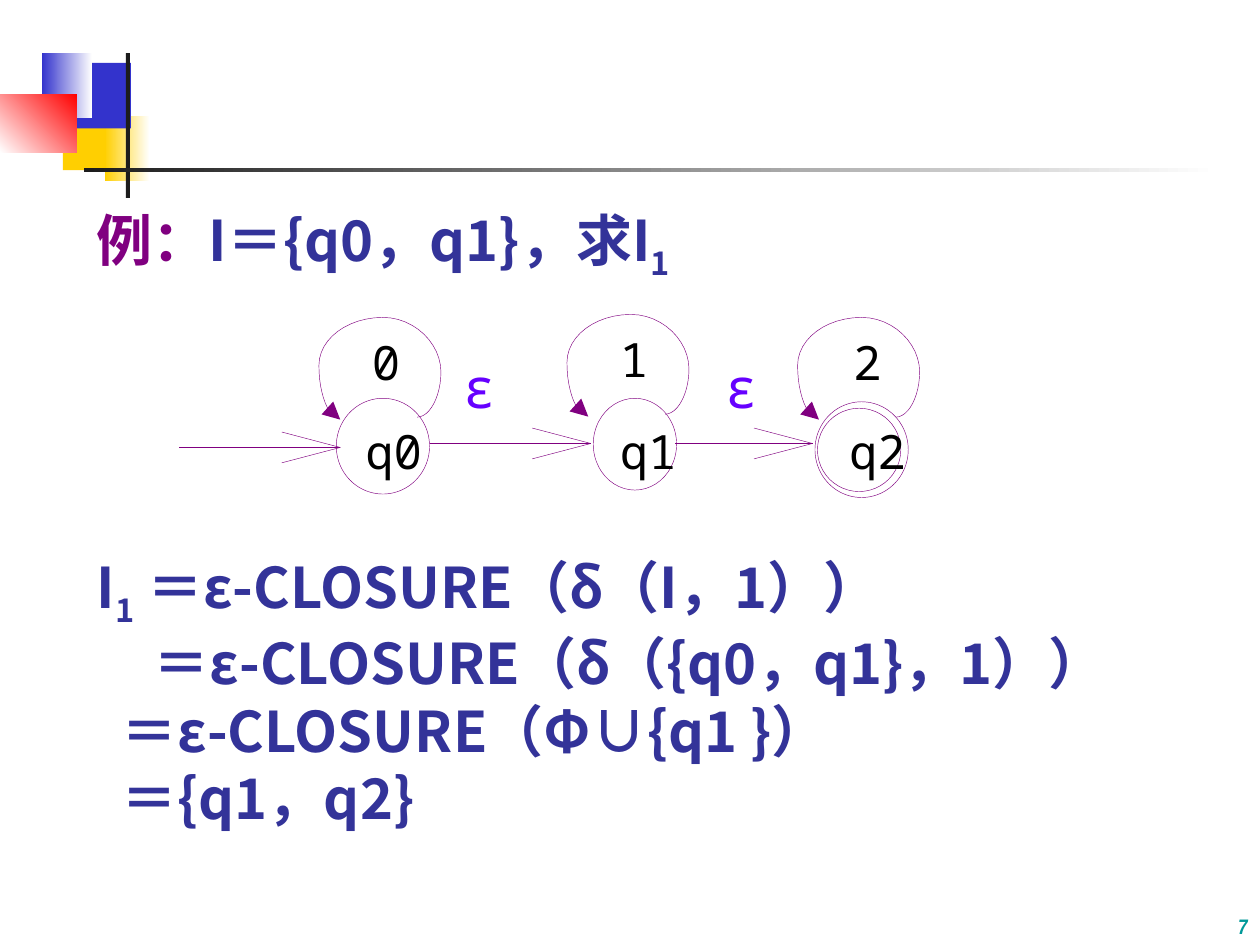
from dataclasses import dataclass
from typing import NamedTuple

from lxml.etree import SubElement
from pptx import Presentation
from pptx.dml.color import RGBColor
from pptx.enum.shapes import MSO_CONNECTOR, MSO_SHAPE
from pptx.enum.text import MSO_ANCHOR, MSO_AUTO_SIZE, PP_ALIGN
from pptx.oxml.ns import qn
from pptx.util import Cm, Pt

WHITE = RGBColor(0xFF, 0xFF, 0xFF)
BLACK = RGBColor(0x00, 0x00, 0x00)
YELLOW = RGBColor(0xFF, 0xCF, 0x01)
BLUE = RGBColor(0x33, 0x33, 0xCC)
RED = RGBColor(0xFF, 0x00, 0x00)
CHARCOAL = RGBColor(0x1C, 0x1C, 0x1C)
PURPLE = RGBColor(0x80, 0x00, 0x80)
INDIGO = RGBColor(0x33, 0x33, 0x99)
VIOLET = RGBColor(0x66, 0x00, 0xFF)
TEAL = RGBColor(0x00, 0x99, 0x99)
BODY_FONT = "Noto Sans CJK SC"
LABEL_FONT = "Noto Sans Mono"


class Area(NamedTuple):
    """Left, top, width and height in centimetres."""
    left: float
    top: float
    width: float
    height: float

    def lengths(self) -> list[Cm]:
        return [Cm(value) for value in self]


@dataclass
class Block:
    area: Area
    colors: tuple[RGBColor, ...]
    angle: int = 180


@dataclass
class Label:
    text: str
    area: Area
    size: int = 27
    color: RGBColor = BLACK


@dataclass
class Arrow:
    start: float
    tip: float
    height: float


@dataclass
class Line:
    spans: list[tuple[str, bool]]  # text, subscript
    indent: float = 0
    before: float = 0


BLOCKS = [
    Block(Area(1.27, 2.11, 1.22, 1.32), (YELLOW,)),
    Block(Area(2.11, 2.34, 0.91, 1.32), (WHITE, YELLOW)),
    Block(Area(1.47, 1.27, 1.17, 1.32), (BLUE,)),
    Block(Area(0.84, 1.07, 1.02, 1.32), (WHITE, BLUE)),
    Block(Area(0, 1.9, 1.55, 1.17), (RED, WHITE), 225),
    Block(Area(2.54, 1.07, 0.08, 2.92), (CHARCOAL,)),
    Block(Area(1.7, 3.38, 22.86, 0.08), (WHITE, CHARCOAL)),
]
LINES = [
    Line([("例：", False), ("I＝{q0，q1}，求I", False), ("1", True)]),
    Line([("I", False), ("1", True), (" ＝ε-CLOSURE（δ（I，1））", False)], before=160),
    Line([("＝ε-CLOSURE（δ（{q0，q1}，1））", False)], indent=1.15),
    Line([("＝ε-CLOSURE（Φ∪{q1 }）", False)], indent=0.5),
    Line([("＝{q1，q2}", False)], indent=0.5),
]
CIRCLES = [
    Area(6.78, 8.03, 1.88, 1.93),
    Area(11.96, 8.03, 1.68, 1.85),
    Area(16.43, 8.1, 1.88, 1.93),
    Area(16.48, 8.23, 1.68, 1.68),  # inner ring of the accepting state
]
ARROWS = [Arrow(3.61, 6.86, 9.02), Arrow(8.66, 11.91, 8.94), Arrow(13.61, 16.38, 8.94)]
LABELS = [
    *(Label(f"q{i}", Area(left, 8.51, 1.24, 1.14))
      for i, left in enumerate((7.27, 12.4, 17.02))),
    *(Label(str(i), Area(left, top, 0.6, 1.14))
      for i, (left, top) in enumerate(((7.47, 6.71), (12.47, 6.65), (17.17, 6.71)))),
    *(Label("ε", Area(left, 7.11, 0.69, 1.35), 32, VIOLET) for left in (9.32, 14.6)),
]
# Self-loop: start point, then two control points and an end point per curve
LOOP_START = (6.86, 8.46)
LOOP_CURVES = [
    ((6.63, 8.44), (6.43, 7.95), (6.43, 7.37)),
    ((6.43, 6.83), (7.01, 6.4), (7.72, 6.4)),
    ((8.36, 6.4), (8.89, 6.93), (8.89, 7.5)),
    ((8.89, 7.98), (8.67, 8.41), (8.41, 8.41)),
]
LOOP_OFFSETS = [(0, 0), (5, -0.06), (9.65, 0)]
CURVE_STEPS = 12


def outline(shape) -> None:
    shape.line.color.rgb = PURPLE
    shape.line.width = Pt(0.25)


def draw_block(page, block: Block) -> None:
    shape = page.shapes.add_shape(MSO_SHAPE.RECTANGLE, *block.area.lengths())
    shape.shadow.inherit = False
    shape.line.fill.background()
    if len(block.colors) == 1:
        shape.fill.solid()
        shape.fill.fore_color.rgb = block.colors[0]
        return
    shape.fill.gradient()
    shape.fill.gradient_angle = block.angle
    for stop, color in zip(shape.fill.gradient_stops, block.colors):
        stop.color.rgb = color


def draw_circle(page, area: Area) -> None:
    shape = page.shapes.add_shape(MSO_SHAPE.OVAL, *area.lengths())
    shape.shadow.inherit = False
    shape.fill.background()
    outline(shape)


def draw_arrow(page, arrow: Arrow) -> None:
    barb = arrow.tip - 1.18
    for left, rise in ((arrow.start, 0), (barb, -0.31), (barb, 0.31)):
        line = page.shapes.add_connector(
            MSO_CONNECTOR.STRAIGHT, Cm(left), Cm(arrow.height + rise),
            Cm(arrow.tip), Cm(arrow.height))
        outline(line)
        SubElement(line._element.spPr, qn("a:effectLst"))


def draw_loop(page, shift_x: float, shift_y: float) -> None:
    points = [LOOP_START]
    for curve in LOOP_CURVES:
        corners = (points[-1], *curve)
        for step in range(1, CURVE_STEPS + 1):
            t = step / CURVE_STEPS
            weights = ((1 - t) ** 3, 3 * t * (1 - t) ** 2, 3 * t * t * (1 - t), t ** 3)
            points.append(tuple(sum(w * corner[axis] for w, corner in zip(weights, corners))
                                for axis in (0, 1)))
    places = [(Cm(x + shift_x), Cm(y + shift_y)) for x, y in points]
    builder = page.shapes.build_freeform(*places[0])
    builder.add_line_segments(places[1:], close=False)
    shape = builder.convert_to_shape()
    shape.shadow.inherit = False
    shape.fill.background()
    outline(shape)
    SubElement(shape.line._get_or_add_ln(), qn("a:headEnd"), type="triangle", w="lg", len="lg")


def style(para, font_name: str, size: int, color: RGBColor, bold: bool = False) -> None:
    font = para.font
    font.name, font.size, font.bold = font_name, Pt(size), bold
    font.color.rgb = color
    SubElement(font._rPr, qn("a:ea"), typeface=font_name)


def draw_label(page, label: Label) -> None:
    frame = page.shapes.add_textbox(*label.area.lengths()).text_frame
    frame.margin_left = frame.margin_right = frame.margin_top = frame.margin_bottom = 0
    frame.word_wrap = False
    frame.auto_size = MSO_AUTO_SIZE.SHAPE_TO_FIT_TEXT
    para = frame.paragraphs[0]
    para.text, para.alignment = label.text, PP_ALIGN.RIGHT
    style(para, LABEL_FONT, label.size, label.color)


def draw_body(page, lines: list[Line]) -> None:
    frame = page.shapes.add_textbox(*Area(1.7, 4.2, 22.02, 14.8).lengths()).text_frame
    frame.word_wrap = True
    for number, line in enumerate(lines):
        para = frame.add_paragraph() if number else frame.paragraphs[0]
        para.alignment = PP_ALIGN.JUSTIFY
        para.line_spacing = Pt(38.4)
        para.space_before = Pt(line.before)
        style(para, BODY_FONT, 32, INDIGO, bold=True)
        para._p.get_or_add_pPr().set("indent", str(Cm(line.indent)))
        for text, subscript in line.spans:
            span = para.add_run()
            span.text = text
            if subscript:
                span.font._rPr.set("baseline", "-25000")
    frame.paragraphs[0].runs[0].font.color.rgb = PURPLE


def draw_page_number(page) -> None:
    frame = page.shapes.add_textbox(*Area(21.16, 17.78, 4.24, 1.27).lengths()).text_frame
    frame.word_wrap = True
    frame.vertical_anchor = MSO_ANCHOR.BOTTOM
    para = frame.paragraphs[0]
    para.text, para.alignment = "7", PP_ALIGN.RIGHT
    style(para, "Arial Narrow", 12, TEAL, bold=True)
    para.font.italic = True


def main() -> None:
    deck = Presentation()
    deck.slide_width, deck.slide_height = Cm(25.4), Cm(19.05)
    page = deck.slides.add_slide(deck.slide_layouts[6])
    # Corner ornament and text
    for block in BLOCKS:
        draw_block(page, block)
    draw_body(page, LINES)
    # Automaton
    for circle in CIRCLES:
        draw_circle(page, circle)
    for arrow in ARROWS:
        draw_arrow(page, arrow)
    for offset in LOOP_OFFSETS:
        draw_loop(page, *offset)
    for label in LABELS:
        draw_label(page, label)
    draw_page_number(page)
    deck.save("out.pptx")


if __name__ == "__main__":
    main()
